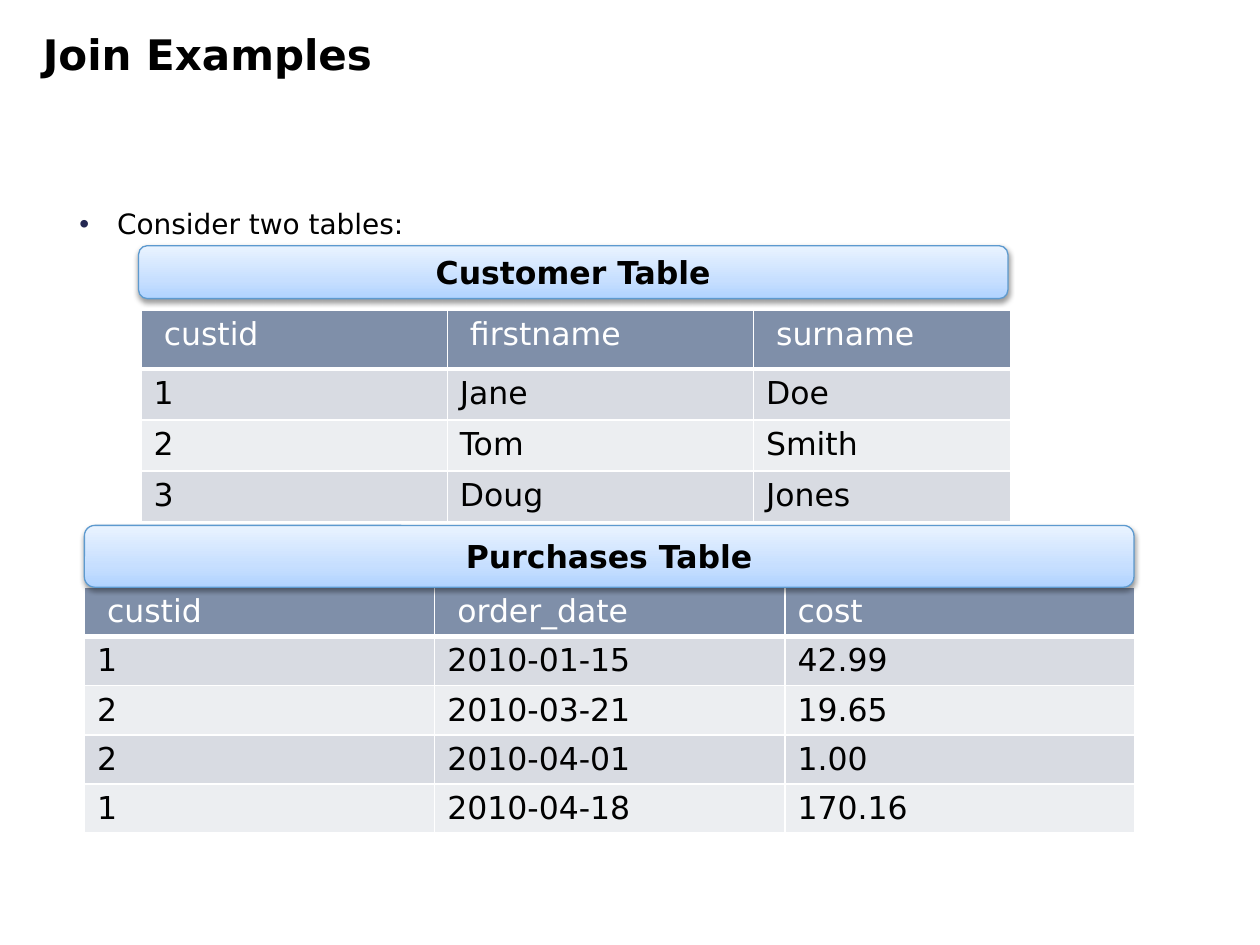
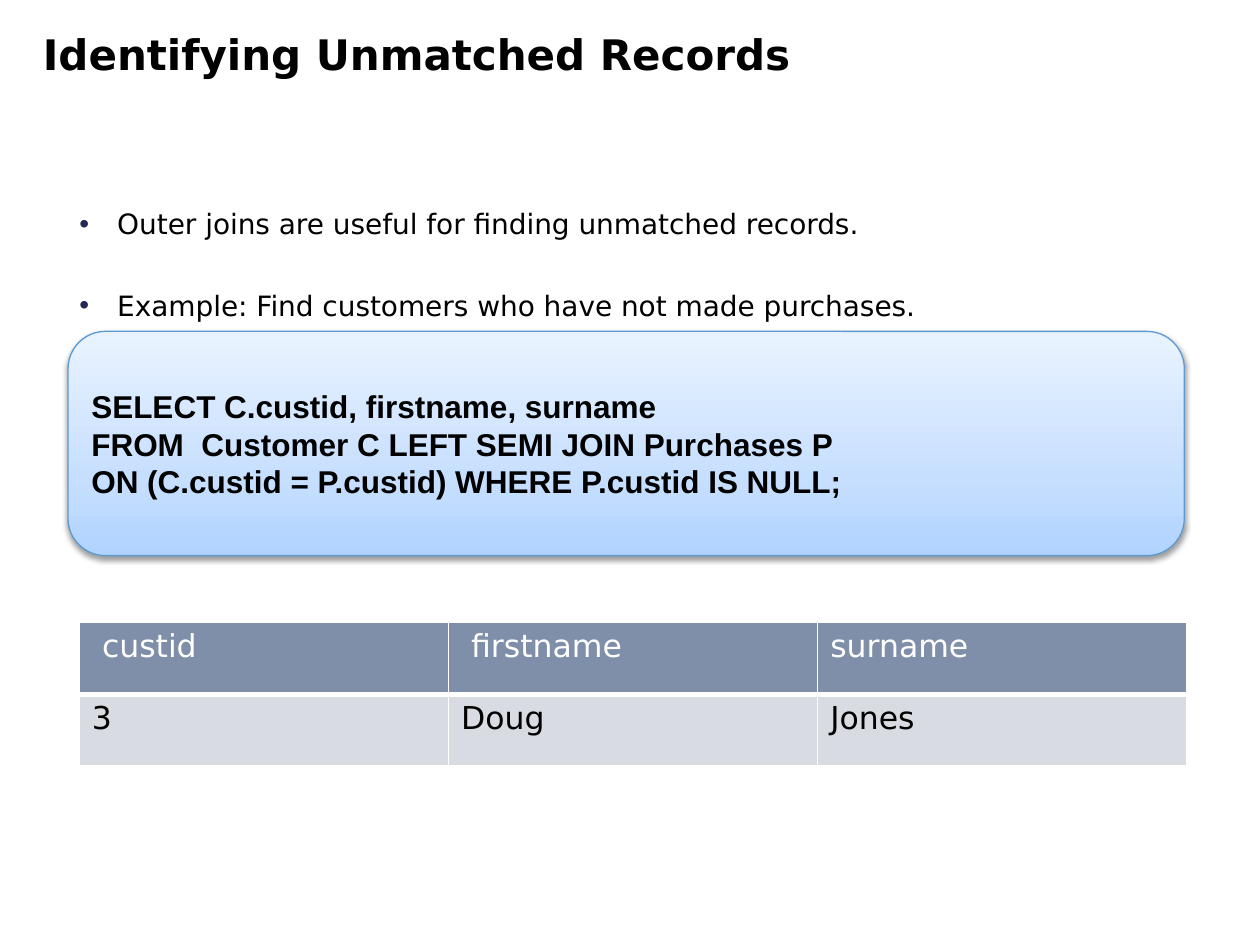
from dataclasses import dataclass

from pptx import Presentation
from pptx import util as u
from pptx.dml.color import RGBColor
from pptx.enum import shapes, text
from pptx.oxml import parse_xml
from pptx.oxml.ns import nsdecls, qn


@dataclass(frozen=True)
class Theme:
    font: str = "DejaVu Sans"
    code_font: str = "Arial"
    ink: str = "000000"
    white: str = "FFFFFF"
    bullet: str = "242852"
    header: str = "7F8FA9"
    bands: tuple = ("D8DBE2", "ECEEF1")
    panel_line: str = "5D9ACF"
    panel_stops: tuple = ((0, "B0D3FF"), (35, "C7DFFF"), (100, "E9F3FF"))
    title_size: int = 24
    list_size: int = 16
    text_size: int = 18


THEME = Theme()


def drawing_xml(tag, attributes="", content=""):
    return parse_xml(f"<a:{tag} {nsdecls('a')} {attributes}>{content}</a:{tag}>")


def color_xml(color, content=""):
    return f'<a:srgbClr val="{color}">{content}</a:srgbClr>'


def write(para, words, *, size=THEME.text_size, font=THEME.font, color=THEME.ink,
          bold=False, align=text.PP_ALIGN.LEFT):
    para.alignment = align
    span = para.add_run()
    span.text = words
    span.font.size = u.Pt(size)
    span.font.name = font
    span.font.bold = bold
    span.font.color.rgb = RGBColor.from_string(color)


def paragraphs(frame, count):
    """Return the frame's first paragraph and as many new ones as are needed."""
    return [frame.paragraphs[0]] + [frame.add_paragraph() for _ in range(count - 1)]


def place(box, left, top, width, height):
    box.left, box.top = u.Inches(left), u.Inches(top)
    box.width, box.height = u.Inches(width), u.Inches(height)
    box.text_frame.auto_size = text.MSO_AUTO_SIZE.NONE
    box.text_frame.vertical_anchor = text.MSO_ANCHOR.TOP


def add_bullet(para):
    properties = para._p.get_or_add_pPr()
    properties.set("marL", str(u.Inches(0.59)))
    properties.set("indent", str(u.Inches(-0.3)))
    properties.append(drawing_xml("buClr", content=color_xml(THEME.bullet)))
    properties.append(drawing_xml("buFont", 'typeface="Arial"'))
    properties.append(drawing_xml("buChar", 'char="•"'))


def add_page(deck, title, points):
    page = deck.slides.add_slide(deck.slide_layouts[1])
    heading, body = page.shapes.title, page.placeholders[1]
    place(heading, 0.24, 0.18, 9.57, 1.05)
    write(heading.text_frame.paragraphs[0], title, size=THEME.title_size, bold=True)

    place(body, 0.24, 1.59, 9.57, 5.07)
    for index, (para, point) in enumerate(
            zip(paragraphs(body.text_frame, len(points)), points)):
        para.level = 1
        para.space_before = u.Pt(27.5 if index else 0)
        add_bullet(para)
        write(para, point, size=THEME.list_size)
    return page


def add_panel(page, lines, left, top, width, height, **style):
    """Add a rounded panel with a blue gradient and a soft shadow."""
    panel = page.shapes.add_shape(
        shapes.MSO_SHAPE.ROUNDED_RECTANGLE,
        u.Inches(left), u.Inches(top), u.Inches(width), u.Inches(height))
    panel.fill.gradient()
    panel.fill.gradient_angle = 90
    stops = panel._element.spPr.find(".//" + qn("a:gsLst"))
    stops.getparent().replace(stops, drawing_xml("gsLst", content="".join(
        f'<a:gs pos="{position * 1000}">{color_xml(color)}</a:gs>'
        for position, color in THEME.panel_stops)))
    panel.line.color.rgb = RGBColor.from_string(THEME.panel_line)
    panel.line.width = u.Pt(0.75)

    panel.shadow.inherit = False
    panel._element.spPr.find(qn("a:effectLst")).append(drawing_xml(
        "outerShdw",
        f'blurRad="{u.Pt(3.1)}" dist="{u.Pt(1.6)}" dir="5400000" rotWithShape="0"',
        color_xml(THEME.ink, '<a:alpha val="38000"/>')))

    frame = panel.text_frame
    frame.word_wrap = True
    frame.vertical_anchor = text.MSO_ANCHOR.MIDDLE
    for para, line in zip(paragraphs(frame, len(lines)), lines):
        write(para, line, bold=True, **style)


def add_banner(page, caption, left, top, width, height):
    add_panel(page, [caption], left, top, width, height, align=text.PP_ALIGN.CENTER)


def add_borders(cell, bottom):
    properties = cell._tc.get_or_add_tcPr()
    for index, (side, points) in enumerate(
            (("L", 1), ("R", 1), ("T", 1), ("B", bottom))):
        properties.insert(index, drawing_xml(
            f"ln{side}", f'w="{u.Pt(points)}"',
            f"<a:solidFill>{color_xml(THEME.white)}</a:solidFill>"))


def add_data_table(page, rows, left, top, widths, heights, indented):
    """Add a banded table whose first `indented` headers are set in a little."""
    table = page.shapes.add_table(
        len(rows), len(widths), u.Inches(left), u.Inches(top),
        u.Inches(sum(widths)), u.Inches(sum(heights))).table
    for column, width in zip(table.columns, widths):
        column.width = u.Inches(width)
    for row, height in zip(table.rows, heights):
        row.height = u.Inches(height)

    for row_index, values in enumerate(rows):
        is_header = row_index == 0
        fill = THEME.header if is_header else THEME.bands[(row_index - 1) % 2]
        for column_index, value in enumerate(values):
            cell = table.cell(row_index, column_index)
            cell.fill.solid()
            cell.fill.fore_color.rgb = RGBColor.from_string(fill)
            add_borders(cell, bottom=3 if is_header else 1)
            if is_header and column_index < indented:
                cell.margin_left = u.Inches(0.18)
            write(cell.text_frame.paragraphs[0], value,
                  color=THEME.white if is_header else THEME.ink)


def add_join_examples(deck):
    page = add_page(deck, "Join Examples", ["Consider two tables:"])
    customers = [
        ("custid", "firstname", "surname"),
        ("1", "Jane", "Doe"),
        ("2", "Tom", "Smith"),
        ("3", "Doug", "Jones"),
    ]
    purchases = [
        ("custid", "order_date", "cost"),
        ("1", "2010-01-15", "42.99"),
        ("2", "2010-03-21", "19.65"),
        ("2", "2010-04-01", "1.00"),
        ("1", "2010-04-18", "170.16"),
    ]
    add_data_table(page, customers, 1.12, 2.46, [2.43, 2.43, 2.04],
                   [0.47] + [0.405] * 3, indented=3)
    add_data_table(page, purchases, 0.67, 4.66, [2.78] * 3, [0.39] * 5, indented=2)
    add_banner(page, "Customer Table", 1.1, 1.95, 6.9, 0.42)
    add_banner(page, "Purchases Table", 0.67, 4.17, 8.33, 0.49)


def add_unmatched_records(deck):
    page = add_page(deck, "Identifying Unmatched Records", [
        "Outer joins are useful for finding unmatched records.",
        "Example: Find customers who have not made purchases.",
    ])
    query = [
        "SELECT C.custid, firstname, surname",
        "FROM  Customer C LEFT SEMI JOIN Purchases P",
        "ON (C.custid = P.custid) WHERE P.custid IS NULL;",
    ]
    add_panel(page, query, 0.54, 2.63, 8.86, 1.78, font=THEME.code_font)
    unmatched = [("custid", "firstname", "surname"), ("3", "Doug", "Jones")]
    add_data_table(page, unmatched, 0.63, 4.94, [2.93] * 3, [0.57] * 2, indented=2)


def main():
    deck = Presentation()
    deck.slide_width, deck.slide_height = u.Inches(10), u.Inches(7.5)
    add_join_examples(deck)
    add_unmatched_records(deck)
    deck.save("out.pptx")


if __name__ == "__main__":
    main()
